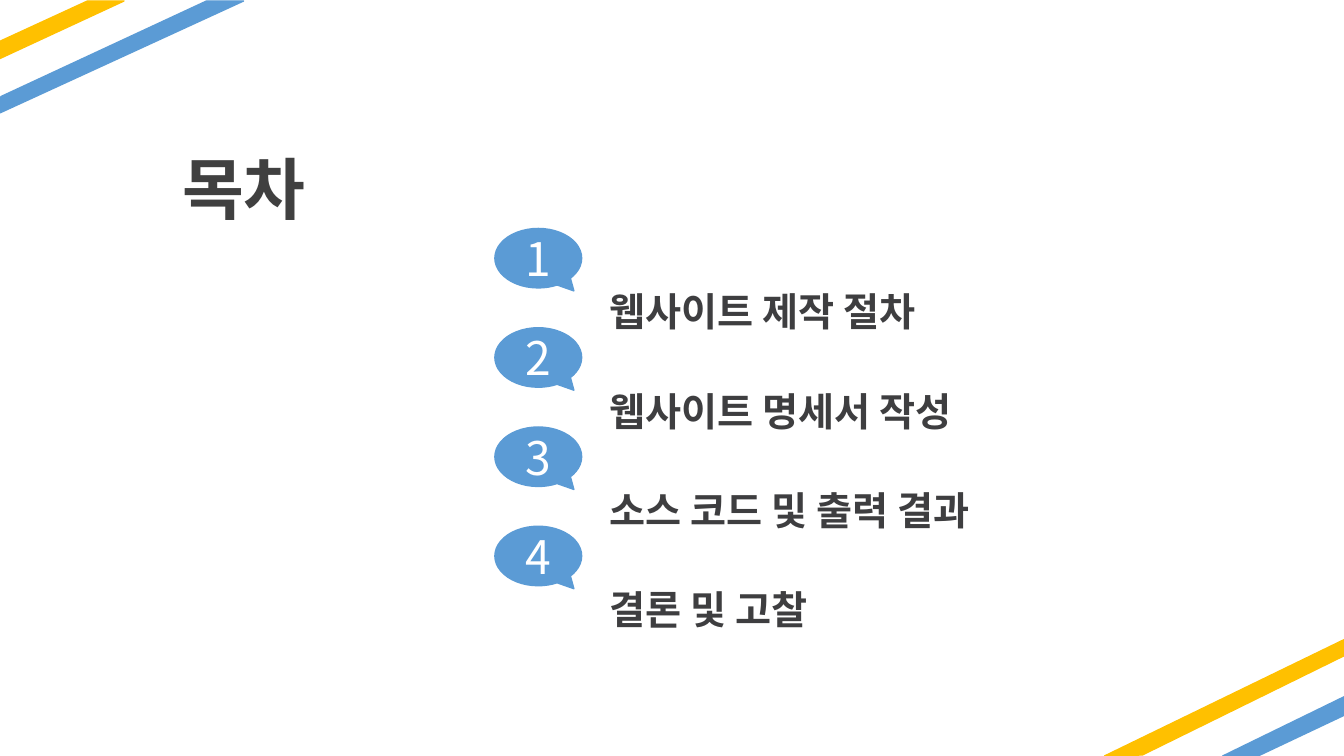
from pptx import Presentation
from pptx.dml.color import RGBColor
from pptx.enum.shapes import MSO_SHAPE as Shape
from pptx.enum.text import MSO_ANCHOR as Anchor, PP_ALIGN as Align
from pptx.util import Pt

COLORS = {
    "blue": "5B9BD5",
    "gold": "FFC000",
    "title": "404040",
    "item": "3E3E40",
    "white": "FFFFFF",
}
SANS = "Noto Sans CJK KR"
WIDTH, HEIGHT = 960, 540
ITEMS = ["웹사이트 제작 절차", "웹사이트 명세서 작성", "소스 코드 및 출력 결과", "결론 및 고찰"]

# Stripe outlines, relative to the corner box that holds them
TOP = [
    ("blue", [(174, 0.7), (0, 80.6), (0.7, 69), (147.6, 0.7)]),
    ("gold", [(88.6, 0.7), (0, 41.8), (0, 29.5), (62.6, 0.7)]),
]
BOTTOM = [
    ("gold", [(9, 90), (181, 6.5), (181, 18), (36, 89.3)]),
    ("blue", [(93.4, 90), (180.5, 47.5), (181, 60.5), (118.6, 90)]),
]


def rgb(name):
    return RGBColor.from_string(COLORS[name])


def paint(shape, color):
    shape.shadow.inherit = False
    shape.fill.solid()
    shape.fill.fore_color.rgb = rgb(color)
    shape.line.color.rgb = rgb(color)
    shape.line.width = Pt(1)


def write(shape, text, size, color, align, font=SANS, bold=False):
    frame = shape.text_frame
    frame.word_wrap = True
    frame.vertical_anchor = Anchor.MIDDLE
    para = frame.paragraphs[0]
    para.text = text
    para.alignment = align
    para.font.name = font
    para.font.size = Pt(size)
    para.font.bold = bold
    para.font.color.rgb = rgb(color)


def add_label(slide, box, *args, **style):
    """Add a text box without margins."""
    label = slide.shapes.add_textbox(*map(Pt, box))
    frame = label.text_frame
    frame.margin_left = frame.margin_right = 0
    frame.margin_top = frame.margin_bottom = 0
    write(label, *args, bold=True, **style)


def add_corner(slide, left, top, stripes):
    for color, points in stripes:
        start, *rest = [(Pt(left + x), Pt(top + y)) for x, y in points]
        pen = slide.shapes.build_freeform(*start)
        pen.add_line_segments(rest, close=True)
        paint(pen.convert_to_shape(), color)


def add_item(slide, left, top, number, text):
    """Add a numbered bubble with its heading at the lower right."""
    box = map(Pt, (left, top, 62, 42.5))
    bubble = slide.shapes.add_shape(Shape.OVAL_CALLOUT, *box)
    bubble.adjustments[0] = 0.41
    bubble.adjustments[1] = 0.55
    paint(bubble, "blue")
    write(bubble, str(number), 33, "white", Align.CENTER)
    add_label(slide, (left + 82, top + 42, 294, 34), text, 28, "item", Align.LEFT)


def add_list(slide, left, top, pitch):
    for i, text in enumerate(ITEMS):
        add_item(slide, left, top + i * pitch, i + 1, text)


def main():
    deck = Presentation()
    deck.slide_width, deck.slide_height = Pt(WIDTH), Pt(HEIGHT)
    slide = deck.slides.add_slide(deck.slide_layouts[6])
    add_corner(slide, 0, 0, TOP)
    add_corner(slide, WIDTH - 180, HEIGHT - 90, BOTTOM)
    add_label(slide, (67, 105, 214.5, 58.5), "목차", 48, "title", Align.CENTER, font="Arial")
    add_list(slide, 353.5, 163.2, 70.9)
    deck.save("out.pptx")


if __name__ == "__main__":
    main()
